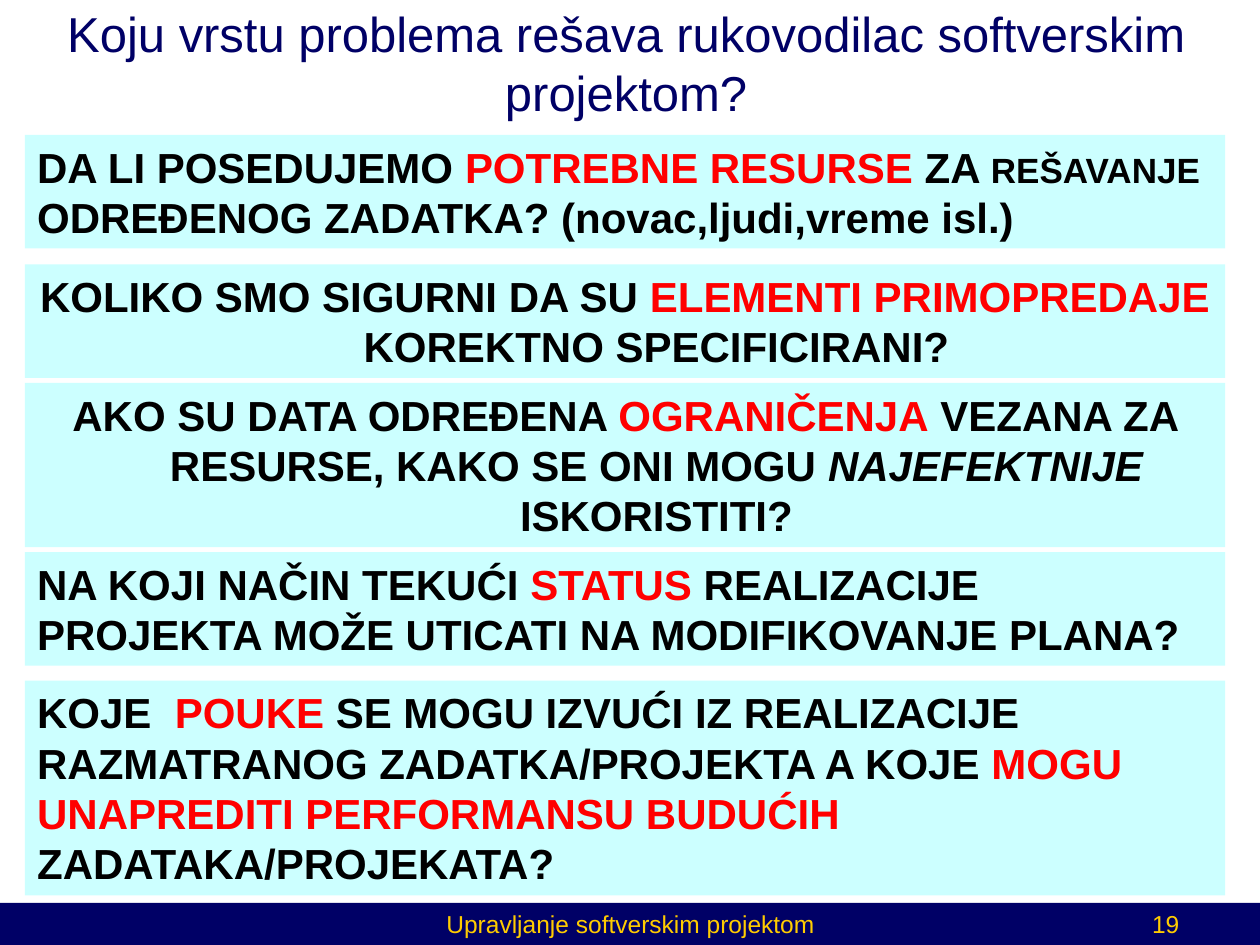
from pptx import Presentation
from pptx.dml.color import RGBColor
from pptx.enum.shapes import MSO_SHAPE as Shape
from pptx.enum.text import MSO_ANCHOR as Anchor, MSO_AUTO_SIZE as AutoSize, PP_ALIGN as Align
from pptx.util import Cm, Pt

NAVY = RGBColor(0x00, 0x00, 0x66)
GOLD = RGBColor(0xFF, 0xCC, 0x00)
CYAN = RGBColor(0xCC, 0xFF, 0xFF)
BLACK = RGBColor(0x00, 0x00, 0x00)
RED = RGBColor(0xFF, 0x00, 0x00)
FONT = "Arial"

# Content
TITLE = "Koju vrstu problema rešava rukovodilac softverskim projektom?"

# Each question: top (cm), line count, alignment, hanging indent, paragraphs of (text, style)
QUESTIONS = [
    (2.72, 2, Align.LEFT, True, [
        [("DA LI POSEDUJEMO ", ""), ("POTREBNE RESURSE", "red"), (" ZA ", ""),
         ("REŠAVANJE", "small")],
        [("ODREĐENOG ZADATKA? (novac,ljudi,vreme isl.)", "")]]),
    (5.33, 2, Align.CENTER, True, [
        [("KOLIKO SMO SIGURNI DA SU ", ""), ("ELEMENTI PRIMOPREDAJE", "red"),
         (" KOREKTNO SPECIFICIRANI?", "")]]),
    (7.72, 3, Align.CENTER, True, [
        [("AKO SU DATA ODREĐENA ", ""), ("OGRANIČENJA", "red"),
         (" VEZANA ZA RESURSE, KAKO SE ONI MOGU ", ""), ("NAJEFEKTNIJE", "italic"),
         (" ISKORISTITI?", "")]]),
    (11.13, 2, Align.LEFT, False, [
        [("NA KOJI NAČIN TEKUĆI ", ""), ("STATUS ", "red"),
         ("REALIZACIJE PROJEKTA MOŽE UTICATI NA MODIFIKOVANJE PLANA?", "")]]),
    (13.72, 4, Align.LEFT, False, [
        [("KOJE  ", ""), ("POUKE", "red"),
         (" SE MOGU IZVUĆI IZ REALIZACIJE RAZMATRANOG ZADATKA/PROJEKTA A KOJE ", ""),
         ("MOGU UNAPREDITI PERFORMANSU BUDUĆIH", "red")],
        [("ZADATAKA/PROJEKATA?", "")]]),
]

# Footer texts: text, left, width (cm)
FOOTERS = [("Upravljanje softverskim projektom", 8.69, 8.05), ("19", 21.5, 4)]

SLIDE_WIDTH, SLIDE_HEIGHT = 25.4, 19.05
FOOTER_TOP, FOOTER_HEIGHT = 18.2, 0.85
BAND_LEFT, BAND_WIDTH = 0.5, 24.2
LINE_HEIGHT, BAND_PADDING = 1.02, 0.25


def place(shape, left, top, width, height):
    shape.left, shape.top = Cm(left), Cm(top)
    shape.width, shape.height = Cm(width), Cm(height)


def style_font(font, size, color):
    font.name, font.size = FONT, Pt(size)
    font.color.rgb = color


def add_rectangle(page, left, top, width, height, fill):
    box = page.shapes.add_shape(Shape.RECTANGLE, Cm(left), Cm(top), Cm(width), Cm(height))
    box.shadow.inherit = False
    box.fill.solid()
    box.fill.fore_color.rgb = fill
    box.line.fill.background()
    return box


def add_question(page, top, lines, align, hanging, paragraphs):
    height = lines * LINE_HEIGHT + BAND_PADDING
    frame = add_rectangle(page, BAND_LEFT, top, BAND_WIDTH, height, CYAN).text_frame
    frame.word_wrap = True
    frame.auto_size = AutoSize.SHAPE_TO_FIT_TEXT
    frame.vertical_anchor = Anchor.TOP
    for index, spans in enumerate(paragraphs):
        para = frame.add_paragraph() if index else frame.paragraphs[0]
        para.alignment = align
        if hanging:
            properties = para._p.get_or_add_pPr()
            properties.set("marL", str(Cm(1.27)))
            properties.set("indent", str(-Cm(1.27)))
        for text, style in spans:
            span = para.add_run()
            span.text = text
            style_font(span.font, 20 if style == "small" else 24,
                       RED if style == "red" else BLACK)
            span.font.bold = True
            span.font.italic = style == "italic"


deck = Presentation()
deck.slide_width, deck.slide_height = Cm(SLIDE_WIDTH), Cm(SLIDE_HEIGHT)
page = deck.slides.add_slide(deck.slide_layouts[5])

# Title
title = page.shapes.title
place(title, 1.09, 0.53, 23.06, 1.45)
frame = title.text_frame
frame.text = TITLE
frame.word_wrap = True
frame.auto_size = AutoSize.NONE
frame.vertical_anchor = Anchor.MIDDLE
frame.margin_left = frame.margin_right = frame.margin_top = frame.margin_bottom = 0
frame.paragraphs[0].alignment = Align.CENTER
style_font(frame.paragraphs[0].runs[0].font, 28, NAVY)

# Footer bar with its texts
add_rectangle(page, 0, FOOTER_TOP, SLIDE_WIDTH, FOOTER_HEIGHT, NAVY)
for text, left, width in FOOTERS:
    box = page.shapes.add_textbox(Cm(left), Cm(FOOTER_TOP), Cm(width), Cm(FOOTER_HEIGHT))
    box.text_frame.word_wrap = True
    box.text_frame.text = text
    para = box.text_frame.paragraphs[0]
    para.alignment = Align.CENTER
    style_font(para.runs[0].font, 14, GOLD)

# Question bands
for question in QUESTIONS:
    add_question(page, *question)

deck.save("out.pptx")
